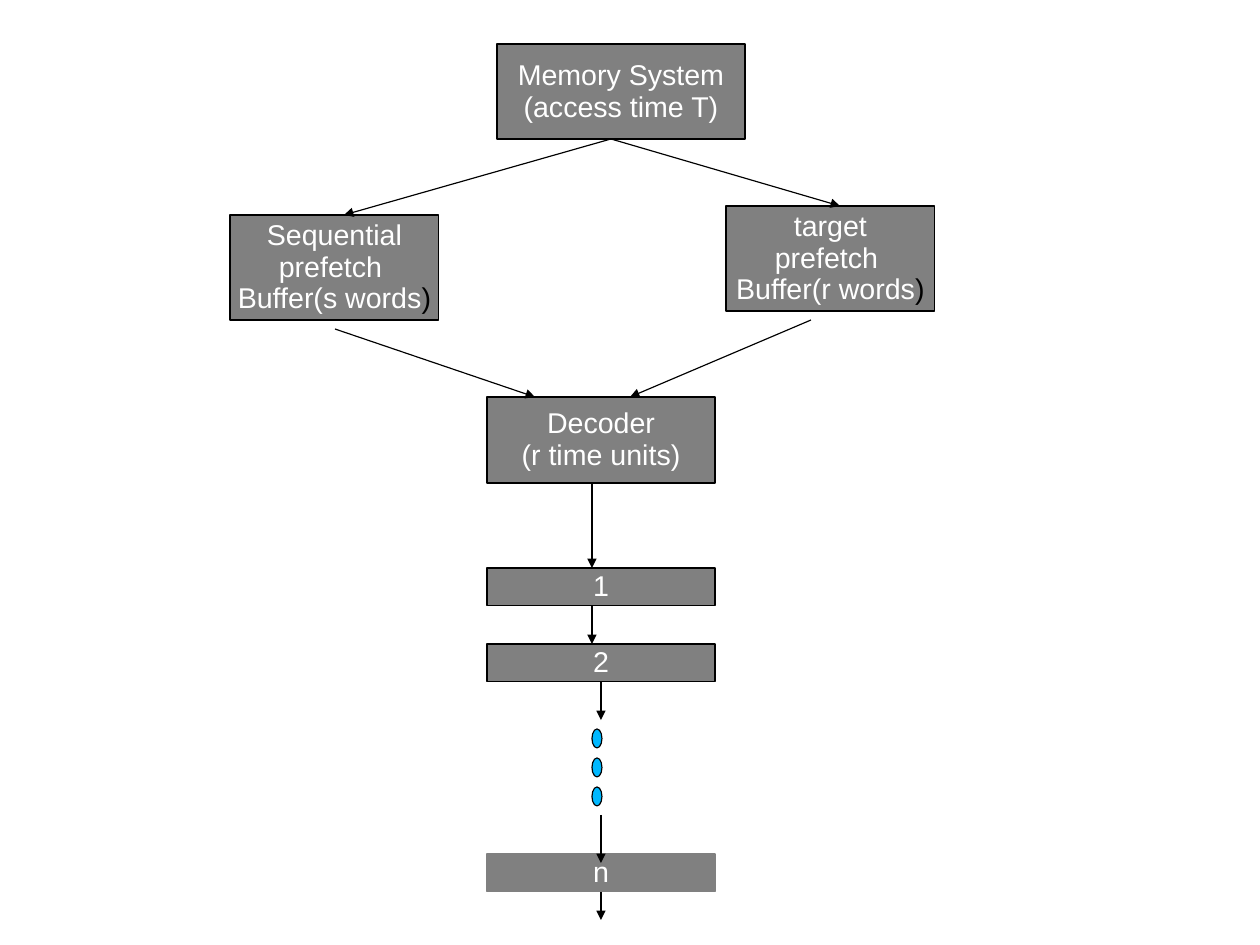
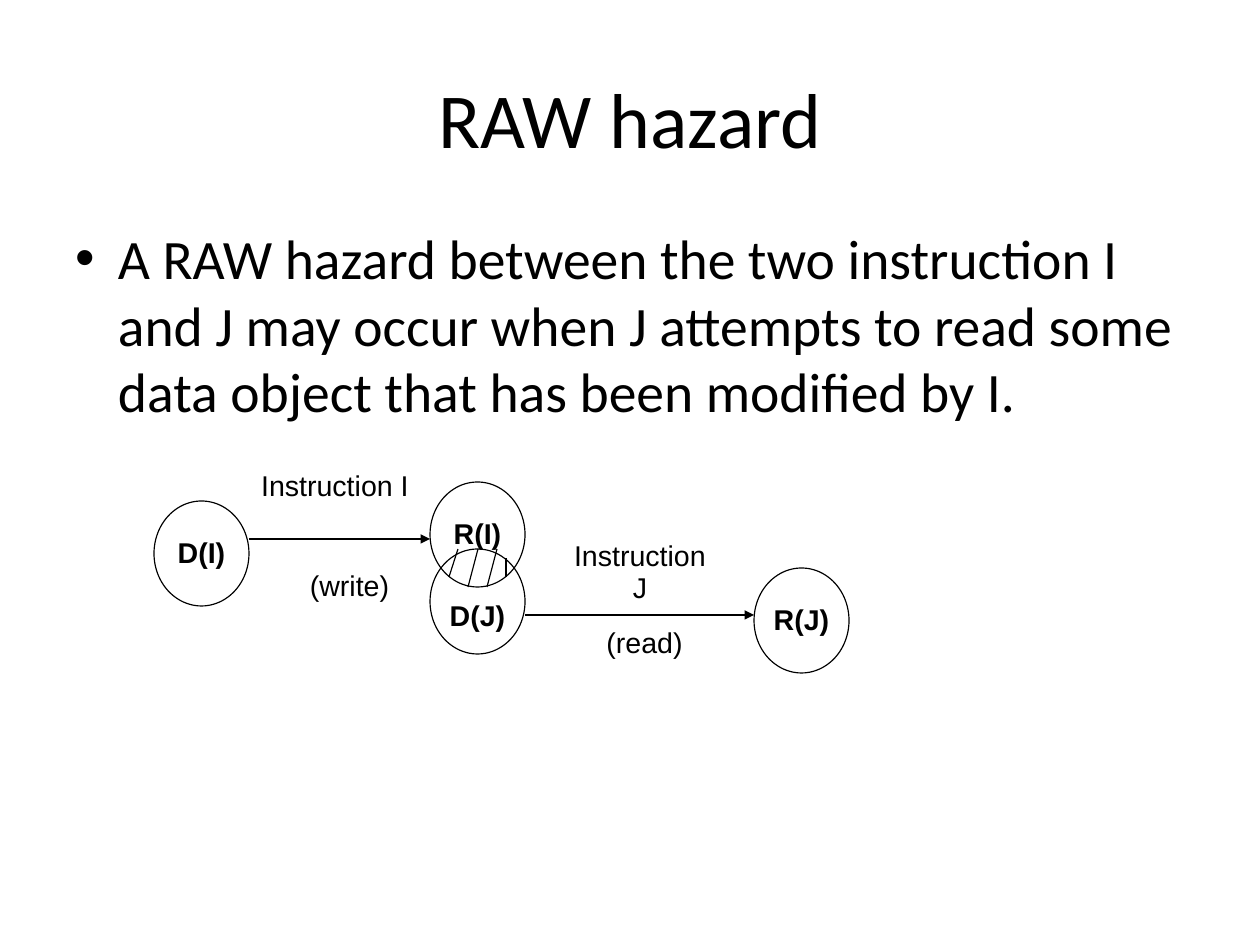
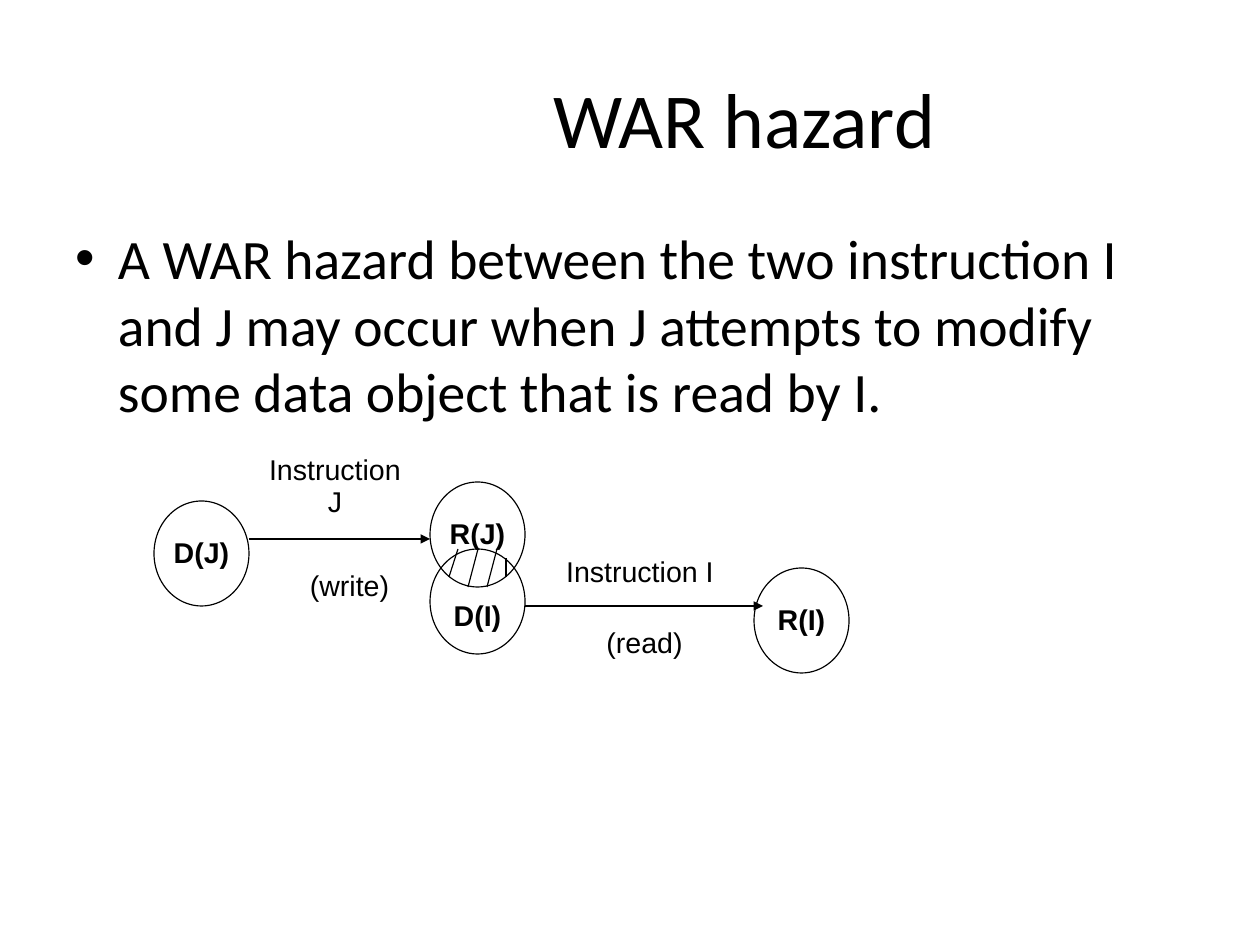
import dataclasses

import pptx
import pptx.dml.color
import pptx.enum.shapes
import pptx.enum.text
import pptx.oxml
import pptx.oxml.ns
import pptx.util

SHAPE = pptx.enum.shapes.MSO_SHAPE
ALIGN = pptx.enum.text.PP_ALIGN
ANCHOR = pptx.enum.text.MSO_ANCHOR
BOTTOM = 2


@dataclasses.dataclass(frozen=True)
class Theme:
    """Colours, fonts, sizes and insets shared by the slides."""
    ink: str = "000000"
    light: str = "FFFFFF"
    block: str = "808080"
    dot: str = "00B8FF"
    label_font: str = "Arial"
    text_font: str = "Calibri"
    title_size: int = 49
    body_size: int = 35
    label_size: int = 18
    line_width: float = 0.75
    label_insets: tuple = (11, 6, 11, 6)
    title_insets: tuple = (13, 6, 13, 6)
    body_insets: tuple = (13, 3, 13, 6)


def px(n):
    """Turn px into EMU."""
    return pptx.util.Emu(n * 8000)


def rgb(code):
    """Turn a hex code into a colour."""
    return pptx.dml.color.RGBColor.from_string(code)


def sub(parent, tag, **attrs):
    """Append a drawing element with the given attributes."""
    el = pptx.oxml.parse_xml(f"<{tag} {pptx.oxml.ns.nsdecls('a')}/>")
    for name, value in attrs.items():
        el.set(name, str(value))
    parent.append(el)


def set_text(tf, text, *, font, size, color, insets, bold=False, wrap=False,
             align=ALIGN.CENTER, anchor=ANCHOR.MIDDLE, spacing=None, before=None,
             indent=(0, 0), bullet=None, ending="", ending_color=None):
    """Fill a text frame with one paragraph per line and an optional coloured ending."""
    tf.word_wrap = wrap
    tf.vertical_anchor = anchor
    tf.margin_left, tf.margin_top, tf.margin_right, tf.margin_bottom = map(px, insets)
    lines = text.split("\n")
    for i, line in enumerate(lines):
        p = tf.add_paragraph() if i else tf.paragraphs[0]
        p.alignment = align
        p.line_spacing = spacing
        p.space_before = before
        pPr = p._p.get_or_add_pPr()
        pPr.set("marL", str(px(indent[0])))
        pPr.set("indent", str(px(indent[1])))
        if bullet:
            sub(pPr, "a:buFont", typeface="Arial")
            sub(pPr, "a:buChar", char=bullet)
        parts = [(line, color)]
        if ending and i == len(lines) - 1:
            parts.append((ending, ending_color))
        for part, part_color in parts:
            r = p.add_run()
            r.text = part
            r.font.name = font
            r.font.size = pptx.util.Pt(size)
            r.font.bold = bold
            r.font.color.rgb = rgb(part_color)


class Deck:
    """Holds the theme and the current slide, and draws elements on it."""

    def __init__(self, theme, width, height):
        """Start an empty presentation of the given size."""
        self.theme = theme
        self.prs = pptx.Presentation()
        self.prs.slide_width, self.prs.slide_height = px(width), px(height)
        self.s = None

    def slide(self):
        """Add a blank slide and make it current."""
        self.s = self.prs.slides.add_slide(self.prs.slide_layouts[6])

    def shape(self, kind, x, y, w, h, fill=None, line=None):
        """Draw a preset shape."""
        sp = self.s.shapes.add_shape(kind, px(x), px(y), px(w), px(h))
        sp.shadow.inherit = False
        if fill:
            sp.fill.solid()
            sp.fill.fore_color.rgb = rgb(fill)
        else:
            sp.fill.background()
        sp.line.color.rgb = rgb(line or self.theme.ink)
        sp.line.width = pptx.util.Pt(self.theme.line_width)
        return sp

    def label_text(self, sp, text, **fmt):
        """Write small centred text in a shape."""
        t = self.theme
        style = dict(font=t.label_font, size=t.label_size, color=t.ink,
                     insets=t.label_insets, spacing=0.93)
        set_text(sp.text_frame, text, **{**style, **fmt})

    def block(self, text, x, y, w, h, line=None, ending=""):
        """Draw a grey box with light text."""
        t = self.theme
        sp = self.shape(SHAPE.RECTANGLE, x, y, w, h, t.block, line)
        self.label_text(sp, text, color=t.light, ending=ending, ending_color=t.ink)
        return sp

    def dot(self, x, y):
        """Draw one dot of a vertical ellipsis."""
        self.shape(SHAPE.FLOWCHART_CONNECTOR, x, y, 10, 19, self.theme.dot)

    def circle(self, text, x, y, drop=0):
        """Draw a data set as an outlined circle, its text lowered by an inset."""
        sp = self.shape(SHAPE.OVAL, x, y, 95, 105)
        left, top, right, bottom = self.theme.label_insets
        self.label_text(sp, text, bold=True, insets=(left, top + drop, right, bottom))

    def textbox(self, x, y, w, h):
        """Add an empty text box."""
        return self.s.shapes.add_textbox(px(x), px(y), px(w), px(h))

    def label(self, text, x, y, w, h):
        """Add a small caption."""
        self.label_text(self.textbox(x, y, w, h), text)

    def title(self, text, indent=(0, 0)):
        """Add the slide title."""
        t = self.theme
        set_text(self.textbox(63, 38, 1134, 158).text_frame, text, font=t.text_font,
                 size=t.title_size, color=t.ink, insets=t.title_insets, wrap=True,
                 indent=indent)

    def body(self, text):
        """Add the bulleted body text."""
        t = self.theme
        set_text(self.textbox(63, 221, 1134, 623).text_frame, text, font=t.text_font,
                 size=t.body_size, color=t.ink, insets=t.body_insets, wrap=True,
                 align=ALIGN.LEFT, anchor=ANCHOR.TOP, before=pptx.util.Pt(8.8),
                 indent=(42, -42), bullet="•")

    def line(self, x1, y1, x2, y2, arrow=True, source=None):
        """Draw a straight line, joined to the bottom of its source if one is given."""
        c = self.s.shapes.add_connector(pptx.enum.shapes.MSO_CONNECTOR.STRAIGHT,
                                        px(x1), px(y1), px(x2), px(y2))
        c.line.color.rgb = rgb(self.theme.ink)
        c.line.width = pptx.util.Pt(self.theme.line_width)
        if arrow:
            sub(c.line._get_or_add_ln(), "a:tailEnd", type="triangle")
        sub(c._element.spPr, "a:effectLst")
        if source is not None:
            c.begin_connect(source, BOTTOM)


def pipeline_slide(deck):
    """Draw the prefetch buffers feeding the decoder and its stages."""
    deck.slide()
    deck.block("Memory System\n(access time T)", 497, 44, 248, 95)
    deck.block("Sequential\nprefetch \nBuffer(s words", 230, 215, 209, 105, ending=")")
    deck.block("target\nprefetch \nBuffer(r words", 726, 206, 209, 105, ending=")")
    deck.block("Decoder\n(r time units)", 487, 397, 228, 86)
    stages = {}
    for name, y, line in (("1", 568, None), ("2", 644, None),
                          ("n", 854, deck.theme.block)):
        stages[name] = deck.block(name, 487, y, 228, 38, line)
    for i in range(3):
        deck.dot(592, 729 + 29 * i)
    for ends in ((611, 139, 344, 215), (611, 139, 840, 206),
                 (335, 329, 535, 397), (811, 320, 630, 397),
                 (592, 483, 592, 568), (592, 606, 592, 644),
                 (601, 815, 601, 863)):
        deck.line(*ends)
    deck.line(601, 682, 601, 720, source=stages["2"])
    deck.line(601, 892, 601, 920, source=stages["n"])


def hazard_slide(deck, name, text, first, second, read_arrow, title_indent=(0, 0)):
    """Draw a hazard between a first and a second instruction."""
    deck.slide()
    deck.title(f"{name} hazard", title_indent)
    deck.body(text)
    deck.circle(f"D({first})", 154, 501)
    deck.circle(f"R({first})", 430, 482)
    deck.circle(f"D({second})", 430, 549, drop=31)
    deck.circle(f"R({second})", 754, 568)
    for hatch in ((458, 549, 449, 577), (478, 549, 468, 587),
                  (497, 549, 487, 587), (506, 558, 506, 577)):
        deck.line(*hatch, arrow=False)
    deck.line(249, 539, 430, 539)
    deck.line(*read_arrow)
    deck.label(f"Instruction {first}", 249, 463, 172, 48)
    deck.label(f"Instruction {second}", 554, 549, 172, 48)
    deck.label("(write)", 297, 568, 105, 38)
    deck.label("(read)", 592, 625, 105, 38)


def main():
    """Build and save the presentation."""
    deck = Deck(Theme(), 1260, 945)
    pipeline_slide(deck)
    hazard_slide(deck, "RAW",
                 "A RAW hazard between the two instruction I and J may occur when J "
                 "attempts to read some data object that has been modified by I.",
                 "I", "J", (525, 615, 754, 615))
    hazard_slide(deck, "WAR",
                 "A WAR hazard between the two instruction I and J may occur when J "
                 "attempts to modify some data object that is read by I.",
                 "J", "I", (525, 606, 763, 606), title_indent=(257, -29))
    deck.prs.save("out.pptx")


if __name__ == "__main__":
    main()
